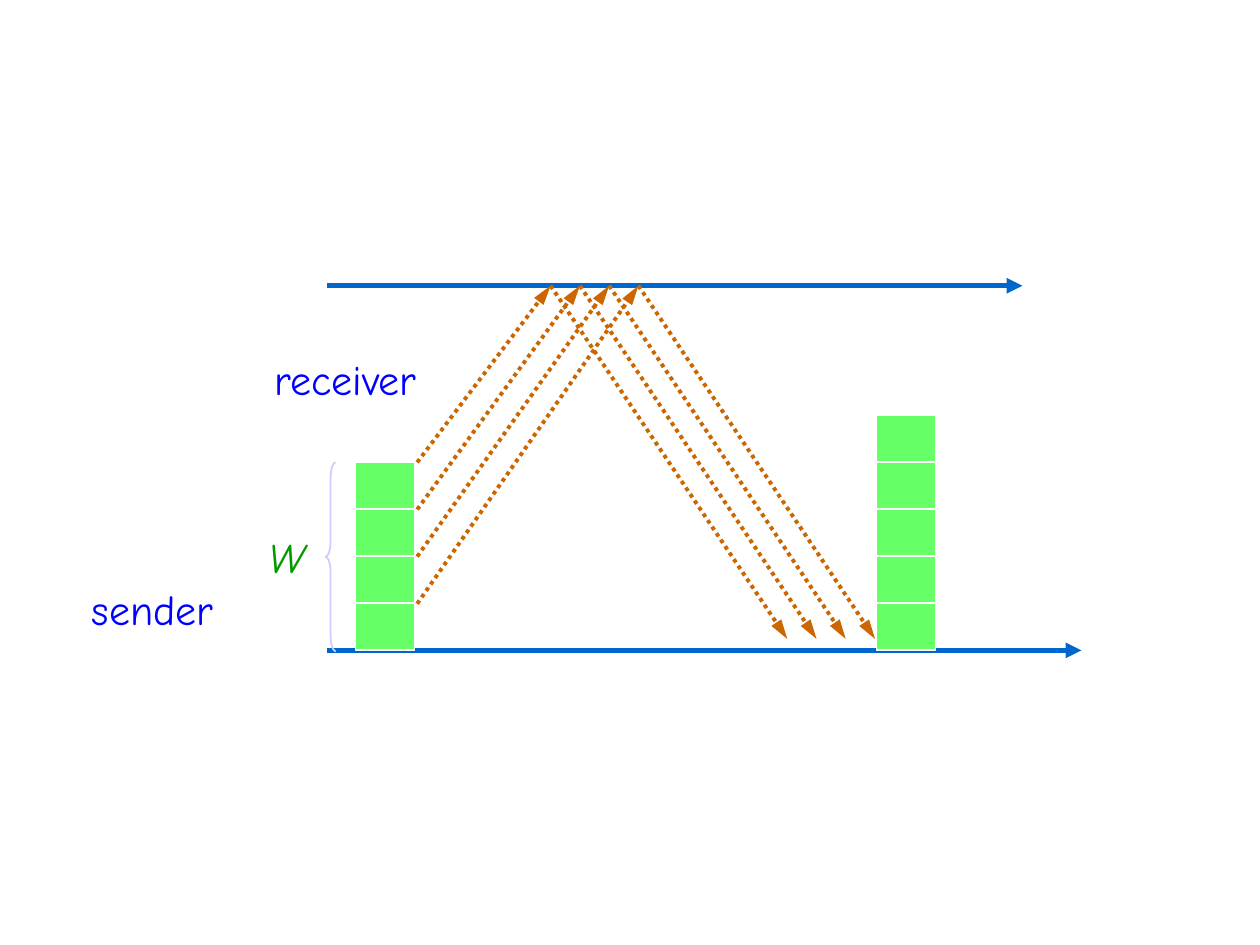
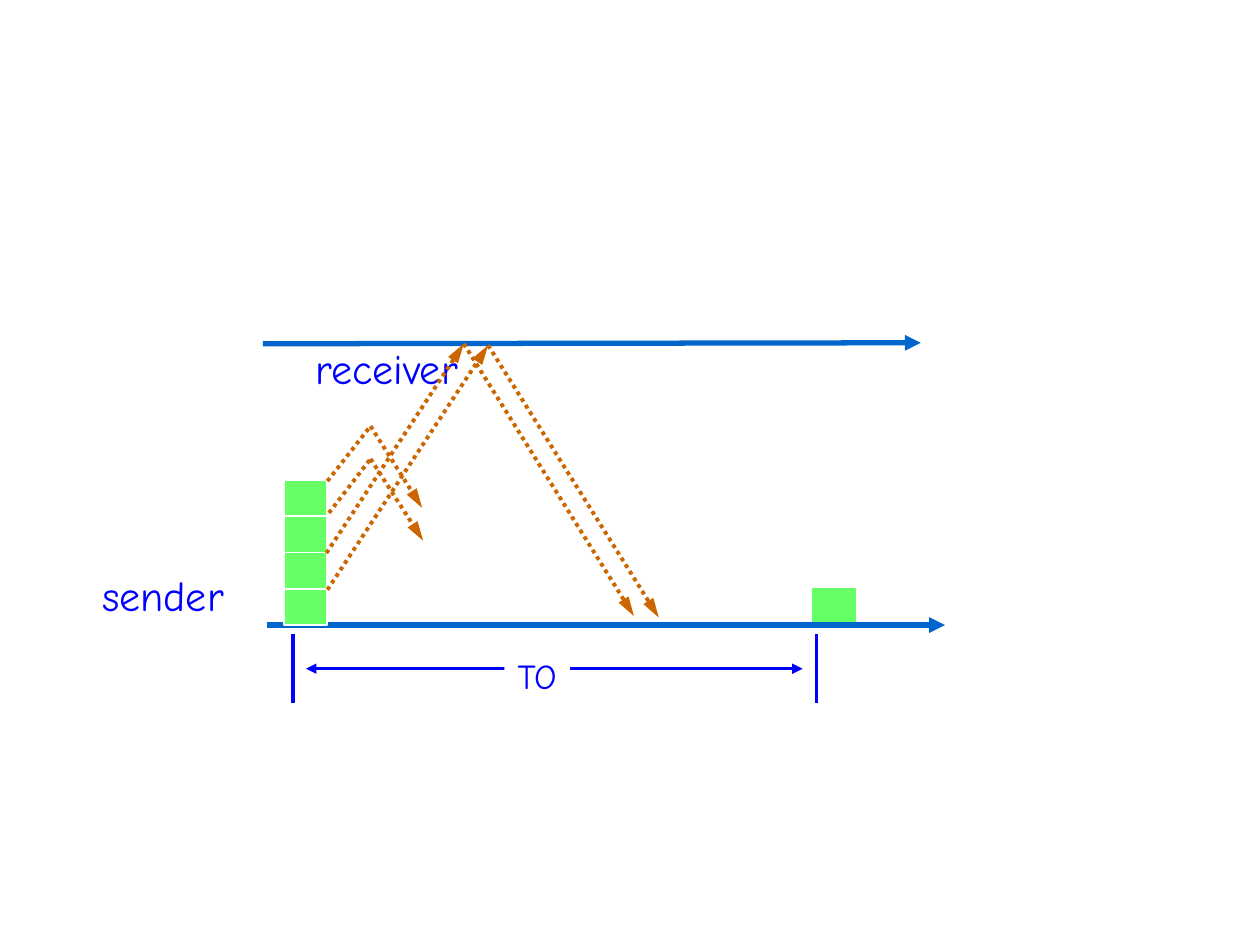
import pptx
import pptx.dml.color
import pptx.enum.dml
import pptx.enum.shapes
import pptx.enum.text
import pptx.oxml
import pptx.oxml.ns
import pptx.util

Cm = pptx.util.Cm
Pt = pptx.util.Pt
SHAPES = pptx.enum.shapes.MSO_SHAPE
ALIGN = pptx.enum.text.PP_ALIGN

FONT = "Comic Neue"
COLORS = {
    "axis": "0066CC",
    "message": "CC6600",
    "packet": "66FF66",
    "label": "0000FF",
    "window": "009900",
    "brace": "CCCCFF",
    "white": "FFFFFF",
}


def rgb(name):
    return pptx.dml.color.RGBColor.from_string(COLORS[name])


def add_line(slide, start, end, color, width, ends=("tailEnd",), dotted=False):
    points = [Cm(value) for value in (*start, *end)]
    connector = slide.shapes.add_connector(
        pptx.enum.shapes.MSO_CONNECTOR.STRAIGHT, *points)
    connector.line.color.rgb = rgb(color)
    connector.line.width = Pt(width)
    if dotted:
        connector.line.dash_style = pptx.enum.dml.MSO_LINE.ROUND_DOT
    head_length = "lg" if dotted else "med"
    properties = connector.element.spPr
    outline = properties.find(pptx.oxml.ns.qn("a:ln"))
    namespace = pptx.oxml.ns.nsdecls("a")
    for end_name in ends:
        outline.append(pptx.oxml.parse_xml(
            f'<a:{end_name} {namespace} type="triangle" len="{head_length}"/>'))
    properties.append(pptx.oxml.parse_xml(f"<a:effectLst {namespace}/>"))


def add_axis(slide, start, end):
    add_line(slide, start, end, "axis", 3)


def add_message(slide, start, turn, end, delivered=True):
    ends = ("tailEnd",) if delivered else ()
    add_line(slide, start, turn, "message", 2.25, ends, dotted=True)
    add_line(slide, turn, end, "message", 2.25, dotted=True)


def add_packets(slide, left, bottom, width, height, count, outline="white"):
    for index in range(count):
        packet = slide.shapes.add_shape(
            SHAPES.RECTANGLE, Cm(left), Cm(bottom - height * (index + 1)),
            Cm(width), Cm(height))
        packet.shadow.inherit = False
        packet.fill.solid()
        packet.fill.fore_color.rgb = rgb("packet")
        packet.line.color.rgb = rgb(outline)
        packet.line.width = Pt(1)


def add_label(slide, text, left, top, width, height=1.27, color="label",
              size=24, align=ALIGN.LEFT, italic=False):
    label = slide.shapes.add_textbox(Cm(left), Cm(top), Cm(width), Cm(height))
    frame = label.text_frame
    frame.word_wrap = False
    frame.auto_size = pptx.enum.text.MSO_AUTO_SIZE.SHAPE_TO_FIT_TEXT
    frame.vertical_anchor = pptx.enum.text.MSO_ANCHOR.MIDDLE
    paragraph = frame.paragraphs[0]
    paragraph.text = text
    paragraph.alignment = align
    paragraph.font.name = FONT
    paragraph.font.size = Pt(size)
    paragraph.font.italic = italic
    paragraph.font.color.rgb = rgb(color)
    return label


def add_brace(slide, left, top, width, height):
    brace = slide.shapes.add_shape(
        SHAPES.LEFT_BRACE, Cm(left), Cm(top), Cm(width), Cm(height))
    brace.adjustments[0] = 1.5
    brace.shadow.inherit = False
    brace.fill.background()
    brace.line.color.rgb = rgb("brace")
    brace.line.width = Pt(1)


def build_full_window(slide):
    sender_y, receiver_y, packet_height = 13.11, 5.76, 0.95
    add_axis(slide, (6.59, sender_y), (21.8, sender_y))
    add_label(slide, "sender", 1.6, 11.63, 3.1)
    add_axis(slide, (6.59, receiver_y), (20.61, receiver_y))
    add_label(slide, "receiver", 5.28, 6.99, 3.5)
    add_packets(slide, 17.67, sender_y, 1.19, packet_height, 5)
    for index in range(4):
        turn_x = 11.1 + 0.59 * index
        add_message(slide, (8.41, 9.32 + packet_height * index),
                    (turn_x, receiver_y), (turn_x + 4.77, 12.88))
    add_packets(slide, 7.17, sender_y, 1.19, packet_height, 4)
    add_label(slide, "W", 5.16, 10.59, 1.24, color="window",
              align=ALIGN.CENTER, italic=True)
    add_brace(slide, 6.56, 9.32, 0.21, 3.81)


def build_timeout(slide):
    sender_y = 12.6
    add_packets(slide, 16.38, sender_y, 0.86, 0.73, 1, outline="packet")
    add_axis(slide, (5.38, sender_y), (19.05, sender_y))
    add_axis(slide, (5.3, 6.93), (18.56, 6.91))
    add_label(slide, "sender", 1.81, 11.35, 3.1)
    add_label(slide, "receiver", 6.11, 6.78, 3.5)
    add_packets(slide, 5.73, sender_y, 0.86, 0.73, 4)
    add_message(slide, (6.58, 11.15), (9.35, 6.93), (12.78, 12.42))
    add_message(slide, (6.6, 11.89), (9.84, 6.96), (13.28, 12.45))
    add_message(slide, (6.6, 9.7), (7.47, 8.59), (8.51, 10.24), delivered=False)
    add_message(slide, (6.63, 10.34), (7.47, 9.25), (8.53, 10.9), delivered=False)
    add_line(slide, (6.17, 13.48), (16.18, 13.48), "label", 1.5,
             ("headEnd", "tailEnd"))
    timeout = add_label(slide, "TO", 10.17, 13.06, 1.32, 1.12, size=20,
                        align=ALIGN.CENTER)
    timeout.fill.solid()
    timeout.fill.fore_color.rgb = rgb("white")
    for tick_x in (5.91, 16.46):
        add_line(slide, (tick_x, 12.78), (tick_x, 14.17), "label", 2.25, ())


def main():
    presentation = pptx.Presentation()
    presentation.slide_width = Cm(25.4)
    presentation.slide_height = Cm(19.05)
    blank = presentation.slide_layouts[6]
    for build in (build_full_window, build_timeout):
        build(presentation.slides.add_slide(blank))
    presentation.save("out.pptx")


if __name__ == "__main__":
    main()
